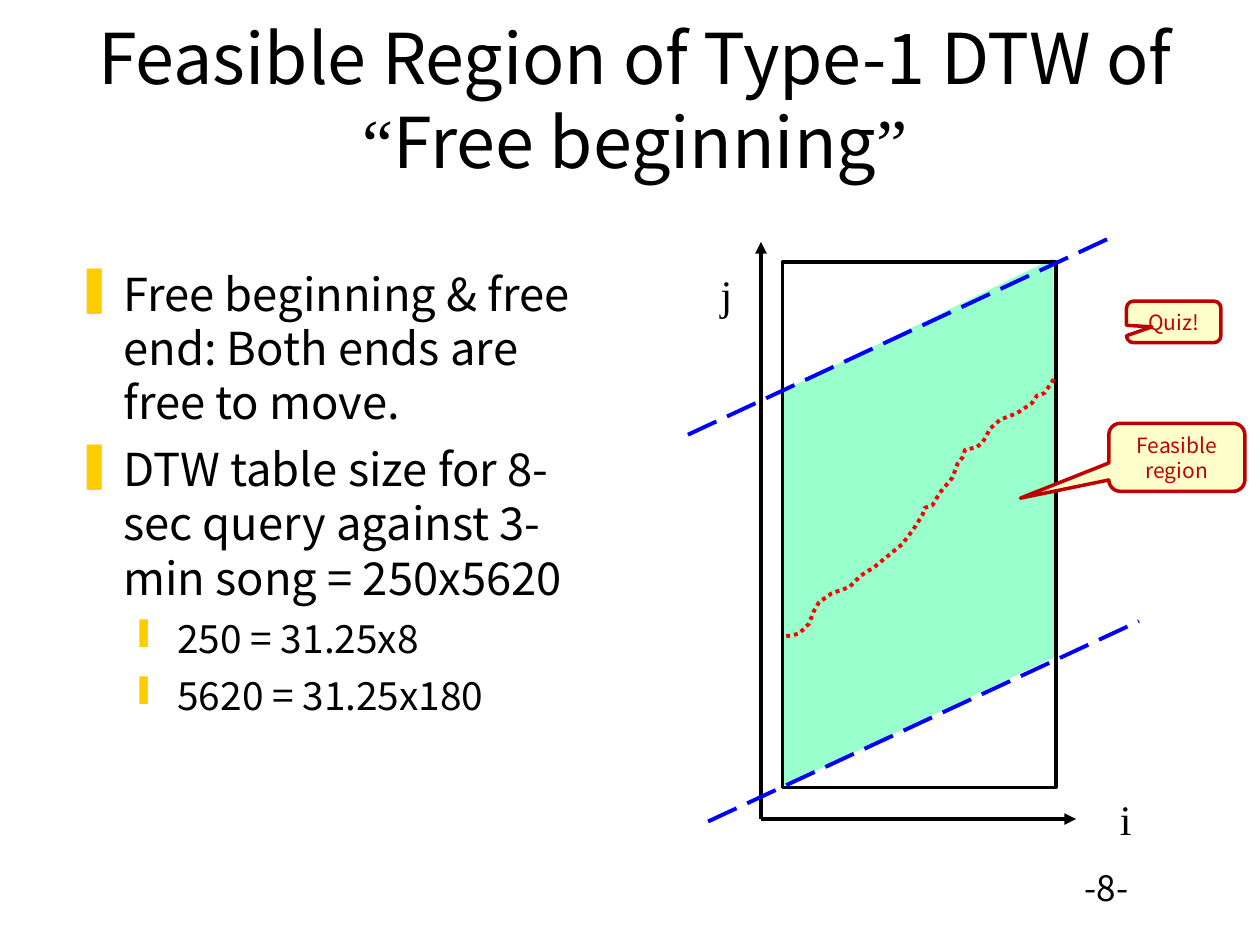
from dataclasses import dataclass

from lxml import etree
from pptx import Presentation
from pptx import util as u
from pptx.dml.color import RGBColor
from pptx.enum import dml, shapes, text
from pptx.oxml import ns


@dataclass(frozen=True)
class Theme:
    sans: str = "Noto Sans CJK SC"
    serif: str = "Times New Roman"
    ink: str = "000000"
    bullet: str = "FFCC00"
    region: str = "99FFCC"
    bound: str = "0000FF"
    route: str = "FF0000"
    note_fill: str = "FFFFCC"
    note_line: str = "C00000"
    title: float = 40
    body: float = 25.9
    sub: float = 22.2
    axis: float = 24
    number: float = 20
    note: float = 12
    leading: float = 1.2


THEME = Theme()
TITLE = [("Feasible Region of Type-1 DTW of ", THEME.sans), ("“", THEME.serif),
         ("Free beginning", THEME.sans), ("”", THEME.serif)]
POINTS = [
    ("Free beginning & free end: Both ends are free to move.", 0),
    ("DTW table size for 8-sec query against 3-min song = 250x5620", 0),
    ("250 = 31.25x8", 1),
    ("5620 = 31.25x180", 1),
]
# Bullet sign, left margin, hanging indent, space before, size
LEVELS = [("❚", 0.38, 0.38, 7, THEME.body), ("❙", 0.81, 0.31, 6, THEME.sub)]
REGION = [(6.22, 6.24), (8.38, 5.21), (8.36, 2.05), (6.22, 3.1)]
ROUTE = [
    (6.24, 5.05), (6.34, 5.03), (6.42, 4.95), (6.46, 4.85), (6.5, 4.78),
    (6.6, 4.71), (6.74, 4.66), (6.83, 4.57), (6.94, 4.5), (7.16, 4.32),
    (7.25, 4.2), (7.32, 4.09), (7.34, 4.03), (7.4, 4.01), (7.46, 3.91),
    (7.56, 3.79), (7.6, 3.68), (7.64, 3.63), (7.66, 3.57), (7.75, 3.55),
    (7.8, 3.51), (7.86, 3.4), (7.94, 3.33), (8.07, 3.28), (8.19, 3.2),
    (8.23, 3.14), (8.29, 3.12), (8.37, 3),
]


def color(value):
    return RGBColor.from_string(value)


def inches(values):
    return [u.Inches(value) for value in values]


def add_text(para, words, size=THEME.body, font=THEME.sans, ink=THEME.ink, align=None):
    span = para.add_run()
    span.text = words
    span.font.name, span.font.size = font, u.Pt(size)
    span.font.color.rgb = color(ink)
    if align is not None:
        para.alignment = align
    if font == THEME.sans:
        para.line_spacing = u.Pt(round(size * THEME.leading, 1))


def set_line(line, ink, width, dash=None):
    line.color.rgb = color(ink)
    line.width = u.Pt(width)
    if dash is not None:
        line.dash_style = dash


def add_label(page, place, words, **style):
    box = page.shapes.add_textbox(*inches(place))
    box.text_frame.word_wrap = False
    add_text(box.text_frame.paragraphs[0], words, **style)


def add_title(page):
    title = page.shapes.title
    title.left, title.top, title.width, title.height = inches((0.44, 0.25, 9.2, 1.25))
    frame = title.text_frame
    frame.vertical_anchor = text.MSO_ANCHOR.BOTTOM
    for words, font in TITLE:
        add_text(frame.paragraphs[0], words, size=THEME.title, font=font,
                 align=text.PP_ALIGN.CENTER)


def add_bullet(para, sign, margin, hang):
    props = para._p.get_or_add_pPr()
    props.set("marL", str(u.Inches(margin)))
    props.set("indent", str(-u.Inches(hang)))
    tint = etree.SubElement(props, ns.qn("a:buClr"))
    etree.SubElement(tint, ns.qn("a:srgbClr"), val=THEME.bullet)
    etree.SubElement(props, ns.qn("a:buChar"), char=sign)


def add_points(page):
    frame = page.shapes.add_textbox(*inches((0.5, 2.06, 4.39, 4.56))).text_frame
    frame.word_wrap = True
    for index, (words, level) in enumerate(POINTS):
        para = frame.add_paragraph() if index else frame.paragraphs[0]
        sign, margin, hang, before, size = LEVELS[level]
        para.level = level
        add_bullet(para, sign, margin, hang)
        if index:
            para.space_before = u.Pt(before)
        add_text(para, words, size=size)


def add_line(page, start, end, ink=THEME.ink, dash=None, arrow=False):
    line = page.shapes.add_connector(shapes.MSO_CONNECTOR.STRAIGHT,
                                     *inches(start + end))
    set_line(line.line, ink, 2.25, dash)
    if arrow:
        etree.SubElement(line.line._get_or_add_ln(), ns.qn("a:tailEnd"), type="triangle")
    etree.SubElement(line._element.spPr, ns.qn("a:effectLst"))


def add_outline(page, points, close):
    start, *rest = [tuple(inches(point)) for point in points]
    builder = page.shapes.build_freeform(*start)
    builder.add_line_segments(rest, close=close)
    shape = builder.convert_to_shape()
    shape.shadow.inherit = False
    return shape


def add_callout(page, place, tip, lines):
    note = page.shapes.add_shape(shapes.MSO_SHAPE.ROUNDED_RECTANGULAR_CALLOUT,
                                 *inches(place))
    note.shadow.inherit = False
    for index, value in enumerate(tip):
        note.adjustments[index] = value
    note.fill.solid()
    note.fill.fore_color.rgb = color(THEME.note_fill)
    set_line(note.line, THEME.note_line, 2)
    frame = note.text_frame
    frame.word_wrap = False
    frame.vertical_anchor = text.MSO_ANCHOR.MIDDLE
    for index, words in enumerate(lines):
        para = frame.add_paragraph() if index else frame.paragraphs[0]
        add_text(para, words, size=THEME.note, ink=THEME.note_line,
                 align=text.PP_ALIGN.CENTER)


def add_table_frame(page):
    frame = page.shapes.add_shape(shapes.MSO_SHAPE.RECTANGLE,
                                  *inches((6.21, 2.08, 2.17, 4.17)))
    frame.shadow.inherit = False
    frame.fill.background()
    set_line(frame.line, THEME.ink, 2)


def main():
    deck = Presentation()
    deck.slide_width, deck.slide_height = inches((10, 7.5))
    page = deck.slides.add_slide(deck.slide_layouts[5])

    # Page number, feasible region, title and points
    add_label(page, (8.51, 6.83, 1.62, 0.51), "-8-", size=THEME.number)
    region = add_outline(page, REGION, close=True)
    region.fill.solid()
    region.fill.fore_color.rgb = color(THEME.region)
    region.line.fill.background()
    add_title(page)
    add_points(page)

    # Table frame and axes
    add_table_frame(page)
    origin = (6.04, 6.5)
    for end in ((8.54, 6.5), (6.04, 1.92)):
        add_line(page, origin, end, arrow=True)
    for words, left, top in (("i", 8.79, 6.25), ("j", 5.62, 2.08)):
        add_label(page, (left, top, 0.29, 0.5), words, size=THEME.axis, font=THEME.serif)

    # Region bounds and alignment route
    for start, end in (((5.62, 6.52), (9.04, 4.93)), ((5.46, 3.45), (8.87, 1.86))):
        add_line(page, start, end, ink=THEME.bound, dash=dml.MSO_LINE.LONG_DASH)
    route = add_outline(page, ROUTE, close=False)
    route.fill.background()
    set_line(route.line, THEME.route, 2.25, dml.MSO_LINE.ROUND_DOT)

    # Callouts
    add_callout(page, (8.94, 2.39, 0.75, 0.33), (-0.23, 0.12, 0.17), ["Quiz!"])
    add_callout(page, (8.8, 3.36, 1.08, 0.54), (-1.15, 0.6, 0.17), ["Feasible", "region"])

    deck.save("out.pptx")


if __name__ == "__main__":
    main()
